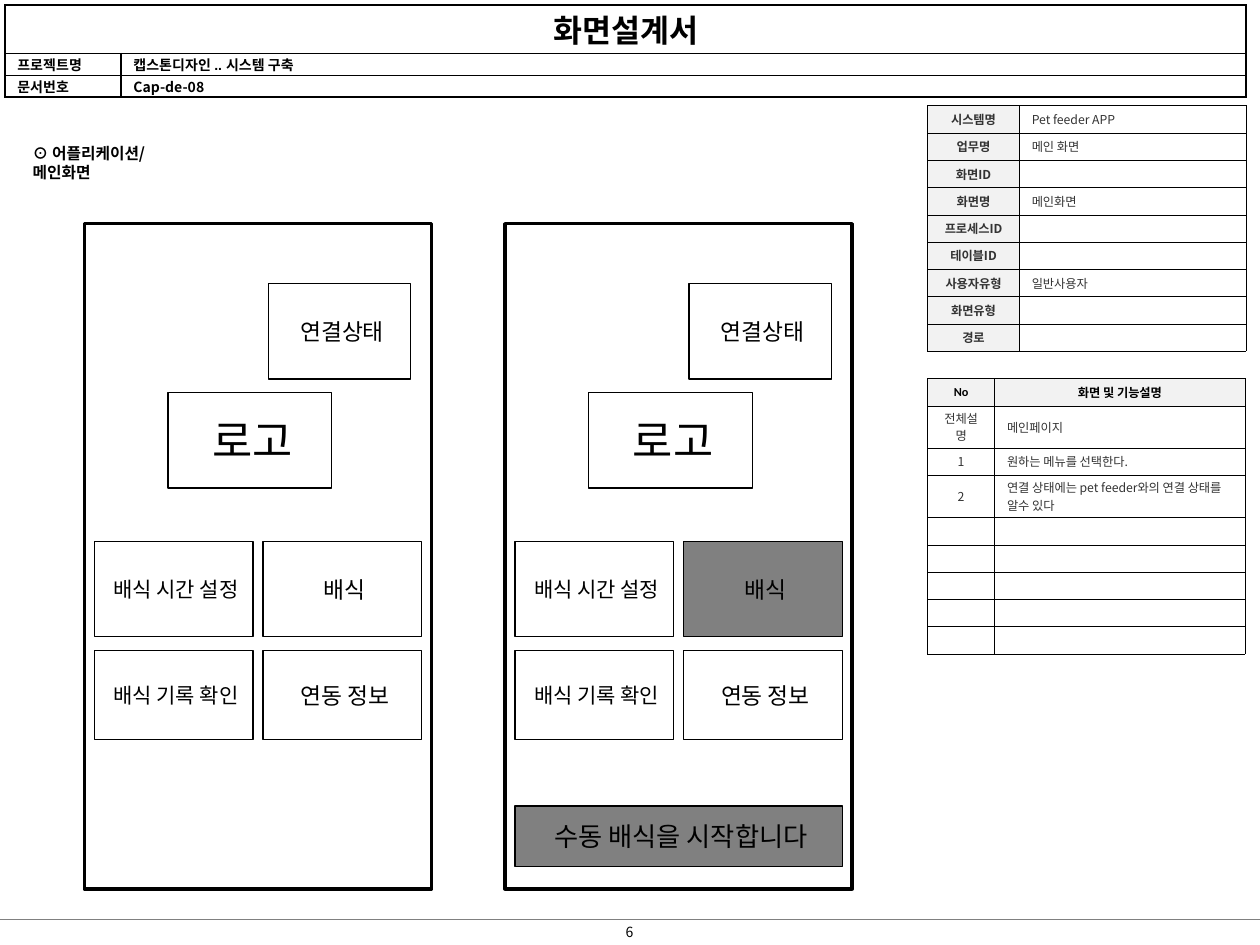
from dataclasses import dataclass

from lxml import etree
from pptx import Presentation
from pptx.dml.color import RGBColor
from pptx.enum.shapes import MSO_CONNECTOR, MSO_SHAPE
from pptx.enum.text import MSO_ANCHOR, PP_ALIGN
from pptx.oxml.ns import qn
from pptx.util import Cm, Pt

RECTANGLE = MSO_SHAPE.RECTANGLE
STRAIGHT = MSO_CONNECTOR.STRAIGHT
LEFT, CENTER = PP_ALIGN.LEFT, PP_ALIGN.CENTER
TOP, MIDDLE = MSO_ANCHOR.TOP, MSO_ANCHOR.MIDDLE

COLORS = {
    "black": "000000",
    "text": "333333",
    "gray": "808080",
    "header": "F2F2F2",
    "white": "FFFFFF",
}
KOREAN = "Noto Sans CJK KR"


@dataclass
class Look:
    size: float = 7
    font: str = KOREAN
    color: str = "text"
    bold: bool = False
    align: PP_ALIGN = LEFT
    fill: str = ""


def rgb(name):
    return RGBColor.from_string(COLORS[name])


class SlideBuilder:
    def __init__(self, slide):
        self.slide = slide

    def add_words(self, frame, text, look):
        para = frame.paragraphs[0]
        para.alignment = look.align
        if not text:
            etree.SubElement(para._p, qn("a:endParaRPr"), sz=str(int(look.size * 100)))
            return
        span = para.add_run()
        span.text = text
        span.font.size = Pt(look.size)
        span.font.name = look.font
        span.font.bold = look.bold
        span.font.color.rgb = rgb(look.color)
        etree.SubElement(span._r.get_or_add_rPr(), qn("a:ea"), typeface=KOREAN)

    def paint(self, fill, name):
        if name:
            fill.solid()
            fill.fore_color.rgb = rgb(name)
        else:
            fill.background()

    def text(self, left, top, width, height, text, look, right_inset=0.25):
        box = self.slide.shapes.add_textbox(Cm(left), Cm(top), Cm(width), Cm(height))
        box.text_frame.word_wrap = True
        box.text_frame.margin_right = Cm(right_inset)
        self.add_words(box.text_frame, text, look)

    def rectangle(self, left, top, width, height, text="", size=13, fill="", weight=0.75):
        box = self.slide.shapes.add_shape(RECTANGLE, Cm(left), Cm(top), Cm(width), Cm(height))
        box.shadow.inherit = False
        self.paint(box.fill, fill)
        box.line.color.rgb = rgb("black")
        box.line.width = Pt(weight)
        if text:
            frame = box.text_frame
            frame.word_wrap = True
            frame.vertical_anchor = MIDDLE
            frame.margin_left, frame.margin_right = Cm(0.2), Cm(0.1)
            self.add_words(frame, text, Look(size, color="black", align=CENTER))

    def line(self, left, top, right, bottom):
        line = self.slide.shapes.add_connector(STRAIGHT, Cm(left), Cm(top), Cm(right), Cm(bottom))
        line.line.color.rgb = rgb("gray")
        line.line.width = Pt(0.75)
        etree.SubElement(line._element.spPr, qn("a:effectLst"))

    def border(self, cell, weight):
        properties = cell._tc.get_or_add_tcPr()
        for side in ("a:lnL", "a:lnR", "a:lnT", "a:lnB"):
            edge = etree.SubElement(properties, qn(side), w=str(int(Pt(weight))))
            fill = etree.SubElement(edge, qn("a:solidFill"))
            etree.SubElement(fill, qn("a:srgbClr"), val=COLORS["black"])

    def table(self, left, top, widths, heights, rows, weight=0.25, anchor=MIDDLE, inset=0.05):
        frame = self.slide.shapes.add_table(
            len(heights), len(widths), Cm(left), Cm(top), Cm(sum(widths)), Cm(sum(heights)))
        table = frame.table
        for column, width in zip(table.columns, widths):
            column.width = Cm(width)
        for row, height in zip(table.rows, heights):
            row.height = Cm(height)
        for row, entries in zip(table.rows, rows):
            for cell, (text, look) in zip(row.cells, entries):
                cell.margin_left = cell.margin_right = Cm(0.25)
                cell.margin_top, cell.margin_bottom = Cm(inset), Cm(0 if anchor == TOP else inset)
                cell.vertical_anchor = anchor
                self.border(cell, weight)
                self.paint(cell.fill, look.fill)
                self.add_words(cell.text_frame, text, look)
        return table

    def phone(self, left, top, feed_fill):
        self.rectangle(left + 1.69, top + 3.4, 3.3, 1.93, "로고", 25, "white")
        self.rectangle(left + 3.71, top + 1.2, 2.87, 1.93, "연결상태", 13, "white")
        menu = [
            (6.4, 1.93, "배식 시간 설정", "배식", feed_fill),
            (8.6, 1.8, "배식 기록 확인", "연동 정보", "white"),
        ]
        for offset, height, first, second, fill in menu:
            self.rectangle(left + 0.2, top + offset, 3.2, height, first, 12, "white")
            self.rectangle(left + 3.6, top + offset, 3.2, height, second, 13, fill)
        self.rectangle(left, top, 7, 13.41, weight=2)


def main():
    deck = Presentation()
    deck.slide_width, deck.slide_height = Cm(25.4), Cm(19.05)
    page = SlideBuilder(deck.slides.add_slide(deck.slide_layouts[6]))

    page.line(0, 18.54, 25.4, 18.54)
    page.text(11.99, 18.49, 1.4, 0.61, "6", Look(8, color="black", align=CENTER))

    title = Look(18, color="black", bold=True, align=CENTER, fill="white")
    field = Look(8, "Arial", "black", True, fill="white")
    number = Look(8, color="black", bold=True, fill="white")
    heading = page.table(0.1, 0.1, [2.34, 22.68], [0.98, 0.44, 0.44], [
        [("화면설계서", title), ("", title)],
        [("프로젝트명", field), ("캡스톤디자인 .. 시스템 구축", field)],
        [("문서번호", field), ("Cap-de-08", number)],
    ], weight=1, anchor=TOP, inset=0.02)
    heading.cell(0, 0).merge(heading.cell(0, 1))

    value = Look()
    centered = Look(align=CENTER)
    label = Look(bold=True, align=CENTER, fill="header")
    functions = [
        [("No", Look(7, "Calibri", "black", True, CENTER, "header")),
         ("화면 및 기능설명", Look(7, "Arial", "black", True, CENTER, "header"))],
    ]
    descriptions = [
        ("전체설명", "메인페이지"),
        ("1", "원하는 메뉴를 선택한다."),
        ("2", "연결 상태에는 pet feeder와의 연결 상태를 알수 있다"),
    ] + [("", "")] * 5
    functions += [[(key, centered), (text, value)] for key, text in descriptions]
    page.table(18.7, 7.63, [1.35, 5.05], [0.55, 0.85, 0.55, 0.85] + [0.55] * 5, functions)

    screen = [
        ("시스템명", "Pet feeder APP"),
        ("업무명", "메인 화면"),
        ("화면ID", ""),
        ("화면명", "메인화면"),
        ("프로세스ID", ""),
        ("테이블ID", ""),
        ("사용자유형", "일반사용자"),
        ("화면유형", ""),
        ("경로", ""),
    ]
    page.table(18.7, 2.13, [1.85, 4.57], [0.55] * len(screen),
               [[(key, label), (text, value)] for key, text in screen])

    page.text(0.41, 2.77, 4.17, 0.64, "⊙ 어플리케이션/ 메인화면",
              Look(9, color="black", bold=True), right_inset=0.8)

    phone_top = 4.51
    for left, feed_fill in [(1.7, "white"), (10.18, "gray")]:
        page.phone(left, phone_top, feed_fill)
    page.rectangle(10.38, phone_top + 11.74, 6.6, 1.22, "수동 배식을 시작합니다", 15, "gray")

    deck.save("out.pptx")


if __name__ == "__main__":
    main()
